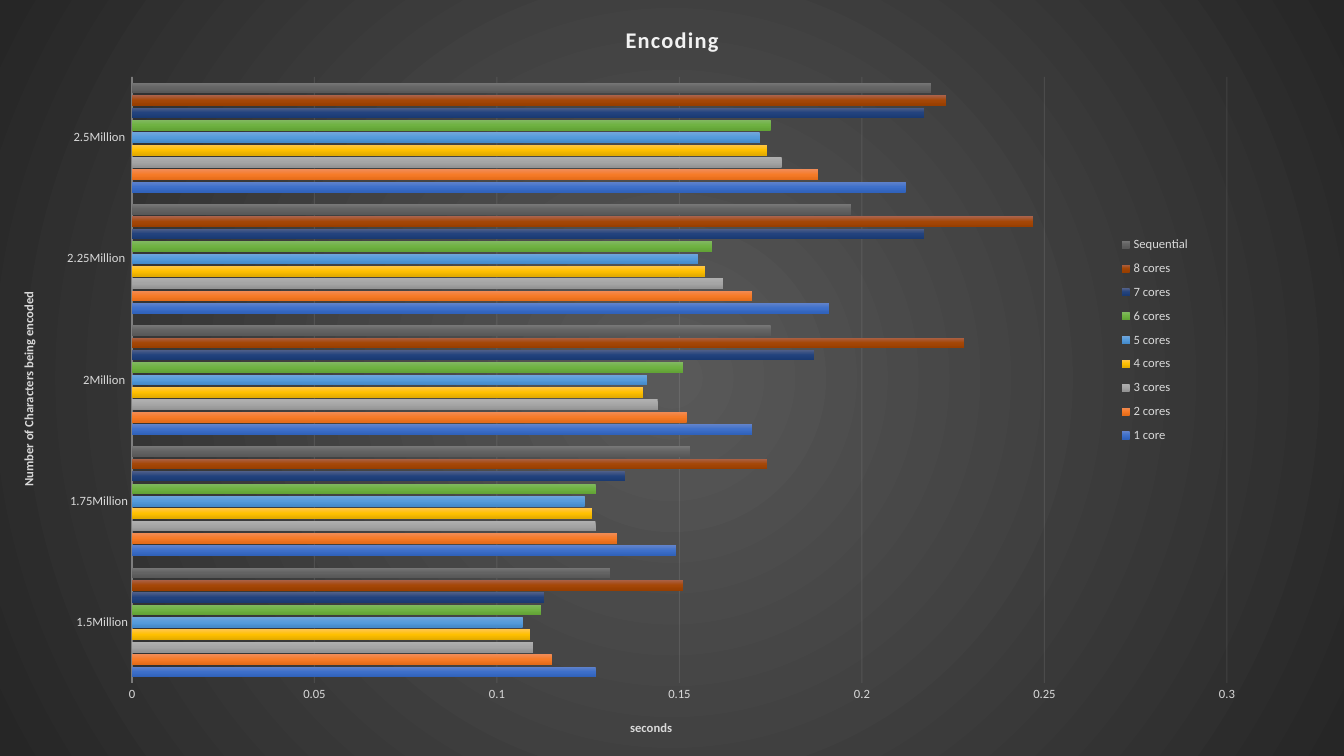
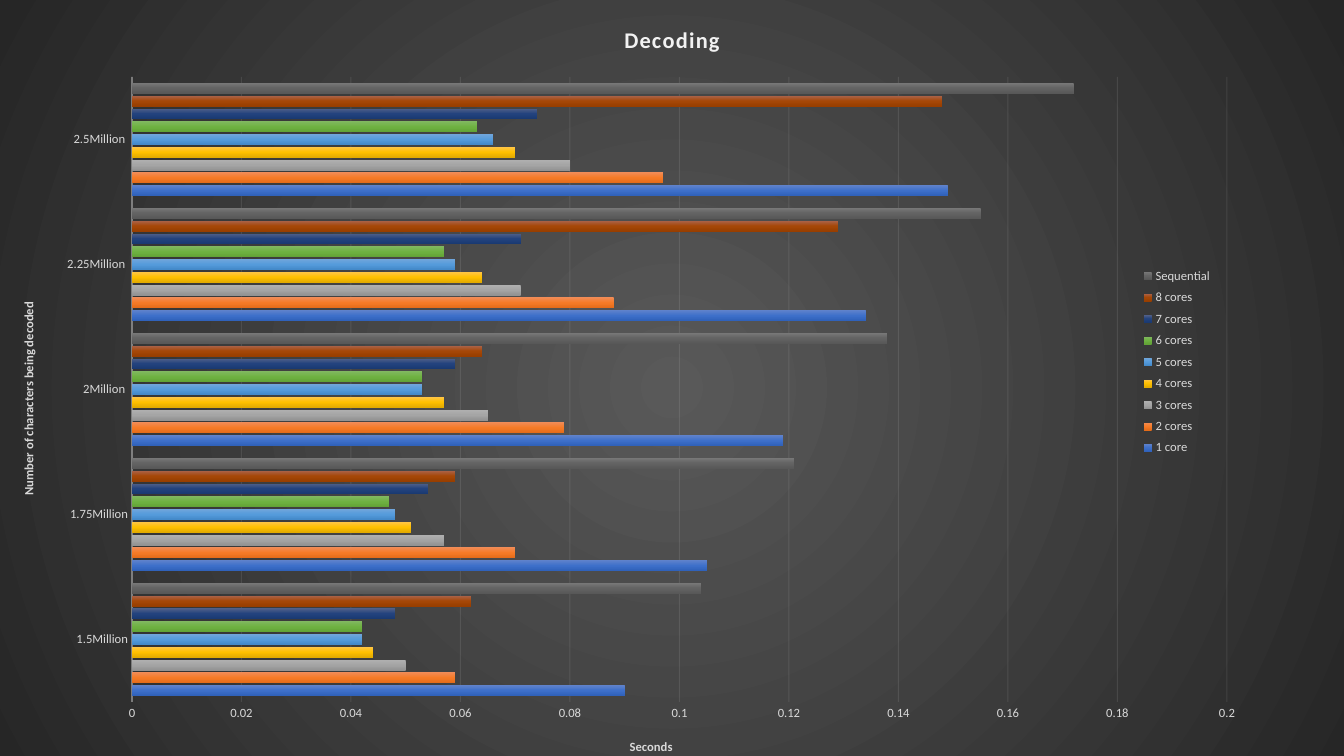
"""Two slides of bar charts on encoding and decoding times."""
from lxml import etree
from pptx import Presentation
from pptx.chart.data import CategoryChartData
from pptx.dml.color import RGBColor
from pptx.enum import chart as kinds
from pptx.oxml import ns
from pptx.util import Emu, Pt

WIDTH, HEIGHT = 1344, 756
FONT = "Calibri"
PALE, SOFT = "F2F2F2", "D9D9D9"
BACKDROP = ["595959", "262626"]
SIZES = ["1.5Million", "1.75Million", "2Million ", "2.25Million ", "2.5Million "]
SERIES_COLOURS = {
    "1 core": ["6183CB", "3E70CA", "3062BB"],
    "2 cores": ["F18C57", "F67B28", "E56C19"],
    "3 cores": ["AFAFAF", "A5A5A5", "939393"],
    "4 cores": ["FFC64B", "FFC000", "E3AB00"],
    "5 cores": ["71A6DB", "559BDB", "448ACA"],
    "6 cores": ["81B861", "6FB242", "62A336"],
    "7 cores": ["516089", "22427D", "1A3A72"],
    "8 cores": ["AB634B", "A54707", "983E00"],
    "Sequential": ["777777", "636363", "585858"],
}
ENCODING = [
    [0.127, 0.149, 0.17, 0.191, 0.212],
    [0.115, 0.133, 0.152, 0.17, 0.188],
    [0.11, 0.127, 0.144, 0.162, 0.178],
    [0.109, 0.126, 0.14, 0.157, 0.174],
    [0.107, 0.124, 0.141, 0.155, 0.172],
    [0.112, 0.127, 0.151, 0.159, 0.175],
    [0.113, 0.135, 0.187, 0.217, 0.217],
    [0.151, 0.174, 0.228, 0.247, 0.223],
    [0.131, 0.153, 0.175, 0.197, 0.219],
]
DECODING = [
    [0.09, 0.105, 0.119, 0.134, 0.149],
    [0.059, 0.07, 0.079, 0.088, 0.097],
    [0.05, 0.057, 0.065, 0.071, 0.08],
    [0.044, 0.051, 0.057, 0.064, 0.07],
    [0.042, 0.048, 0.053, 0.059, 0.066],
    [0.042, 0.047, 0.053, 0.057, 0.063],
    [0.048, 0.054, 0.059, 0.071, 0.074],
    [0.062, 0.059, 0.064, 0.129, 0.148],
    [0.104, 0.121, 0.138, 0.155, 0.172],
]


def px(length):
    """Turn pixels into EMU."""
    return Emu(round(length * 914400 / 100.8))


def colour(code):
    """Turn a hex string into a colour."""
    return RGBColor.from_string(code)


def node(parent, tag, **attributes):
    """Add a child element with the given attributes."""
    child = etree.SubElement(parent, ns.qn(tag))
    for name, value in attributes.items():
        child.set(name, str(value))
    return child


def add_gradient(properties, codes, radial=False):
    """Fill shape properties with evenly spaced colour stops."""
    gradient = node(properties, "a:gradFill", rotWithShape=1)
    stops = node(gradient, "a:gsLst")
    for index, code in enumerate(codes):
        stop = node(stops, "a:gs", pos=100000 * index // (len(codes) - 1))
        node(stop, "a:srgbClr", val=code)
    if radial:
        route = node(gradient, "a:path", path="circle")
        node(route, "a:fillToRect", l=50000, t=50000, r=50000, b=50000)
    else:
        node(gradient, "a:lin", ang=5400000, scaled=0)


def format_font(font, size=9, bold=False, code=SOFT):
    """Set typeface, size, weight and colour."""
    font.name, font.size, font.bold = FONT, Pt(size), bold
    font.color.rgb = colour(code)


def write_text(frame, words, spacing=None, rotation=None, **style):
    """Write one formatted line into a text frame."""
    frame.text = words
    paragraph = frame.paragraphs[0]
    span = paragraph.runs[0]
    format_font(paragraph.font, **style)
    format_font(span.font, **style)
    if spacing is not None:
        span.font._element.set("spc", str(spacing))
    if rotation is not None:
        body = frame._txBody.find(ns.qn("a:bodyPr"))
        body.set("rot", str(rotation * 60000))
        body.set("vert", "horz")


def draw_line(owner, element, width, opacity):
    """Give a chart line a pale, partly transparent stroke."""
    owner.format.line.width = Pt(width)
    owner.format.line.color.rgb = colour(PALE)
    node(element.xpath("./c:spPr/a:ln//a:srgbClr")[0], "a:alpha", val=opacity * 1000)


def place(element, index, bounds, height, inner=False):
    """Fix a chart part at pixel bounds within the chart."""
    for old in element.findall(ns.qn("c:layout")):
        element.remove(old)
    layout = node(element, "c:layout")
    element.insert(index, layout)
    manual = node(layout, "c:manualLayout")
    if inner:
        node(manual, "c:layoutTarget", val="inner")
    for tag in ("c:xMode", "c:yMode"):
        node(manual, tag, val="edge")
    for name, value, whole in zip("xywh", bounds, (WIDTH, height) * 2):
        node(manual, "c:" + name, val=round(value / whole, 5))


def format_axis(axis, title, **style):
    """Format what both axes share."""
    axis.major_tick_mark = axis.minor_tick_mark = kinds.XL_TICK_MARK.NONE
    format_font(axis.tick_labels.font)
    write_text(axis.axis_title.text_frame, title, bold=True, **style)


def add_timing_chart(page, title, category_title, value_title, rows,
                     height, plot, legend, maximum, step):
    """Add a full-page bar chart of times per number of cores."""
    data = CategoryChartData()
    data.categories = SIZES
    for name, values in zip(SERIES_COLOURS, rows):
        data.add_series(name, values)
    chart = page.shapes.add_chart(kinds.XL_CHART_TYPE.BAR_CLUSTERED, 0, 0,
                                  px(WIDTH), px(height), data).chart
    root = chart.element
    format_font(chart.font, size=10, code="000000")
    backdrop = etree.Element(ns.qn("c:spPr"))
    add_gradient(backdrop, BACKDROP, radial=True)
    node(node(backdrop, "a:ln"), "a:noFill")
    root.find(ns.qn("c:chart")).addnext(backdrop)
    write_text(chart.chart_title.text_frame, title, spacing=100,
               size=16, bold=True, code=PALE)

    bars = chart.plots[0]
    bars.gap_width, bars.overlap, bars.vary_by_categories = 115, -20, False
    for series, codes in zip(bars.series, SERIES_COLOURS.values()):
        series.invert_if_negative = False
        series.format.fill.background()
        properties = series._element.find(ns.qn("c:spPr"))
        properties.clear()
        add_gradient(properties, codes)

    categories, values = chart.category_axis, chart.value_axis
    format_axis(categories, category_title, rotation=-90)
    draw_line(categories, root.xpath(".//c:catAx")[0], 1, 54)
    format_axis(values, value_title)
    values.minimum_scale, values.maximum_scale, values.major_unit = 0, maximum, step
    values.tick_labels.number_format = "General"
    values.tick_labels.number_format_is_linked = False
    values.format.line.fill.background()
    draw_line(values.major_gridlines, root.xpath(".//c:majorGridlines")[0], 0.75, 10)

    chart.has_legend = True
    chart.legend.position = kinds.XL_LEGEND_POSITION.RIGHT
    chart.legend.include_in_layout = False
    format_font(chart.legend.font)
    place(root.xpath(".//c:plotArea")[0], 0, plot, height, inner=True)
    place(root.xpath(".//c:legend")[0], 1, legend, height)


def main():
    """Build and save the deck."""
    deck = Presentation()
    deck.slide_width, deck.slide_height = px(WIDTH), px(HEIGHT)
    charts = [
        dict(title="Encoding", category_title="Number of Characters being encoded",
             value_title="seconds", rows=ENCODING, height=HEIGHT,
             plot=(132, 77, 1095, 606), legend=(1115, 228, 80, 224),
             maximum=0.3, step=0.05),
        dict(title="Decoding", category_title="Number of characters being decoded",
             value_title="Seconds", rows=DECODING, height=775,
             plot=(132, 77, 1095, 625), legend=(1137, 262, 80, 200),
             maximum=0.2, step=0.02),
    ]
    for details in charts:
        add_timing_chart(deck.slides.add_slide(deck.slide_layouts[6]), **details)
    deck.save("out.pptx")


if __name__ == "__main__":
    main()
